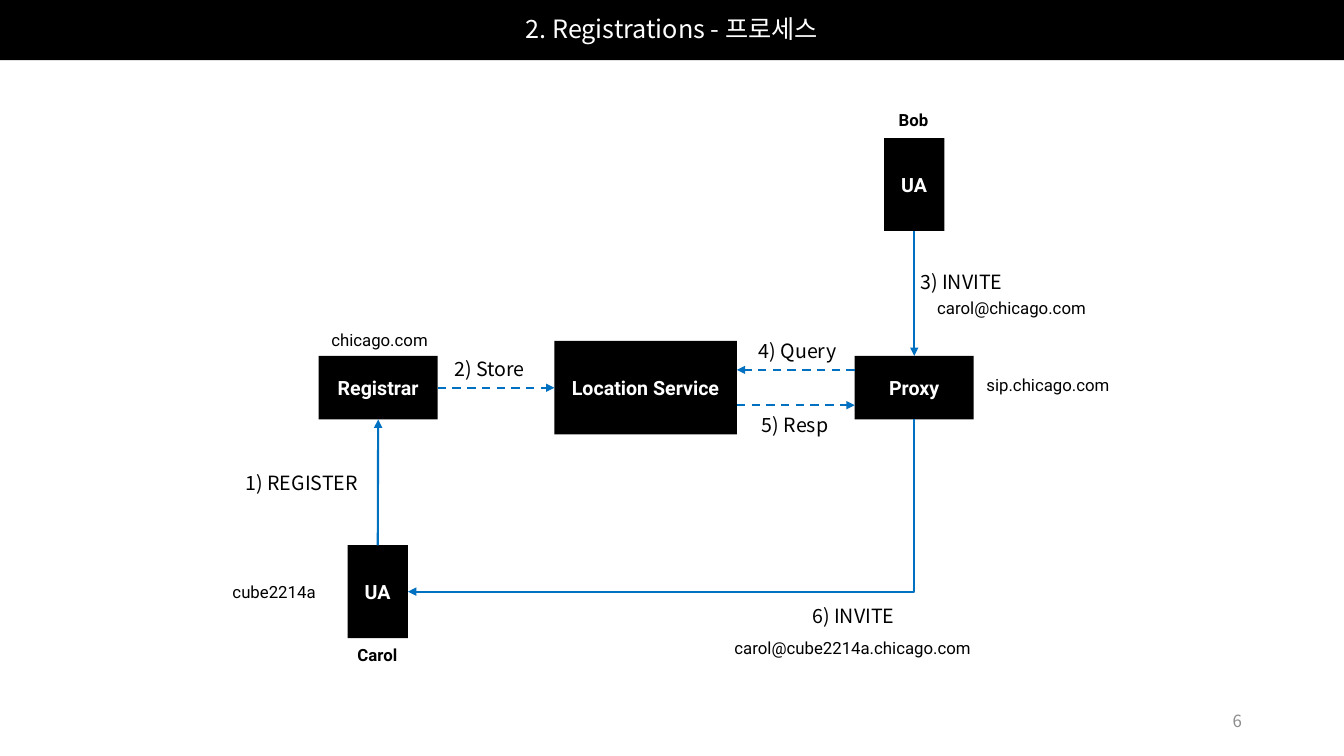
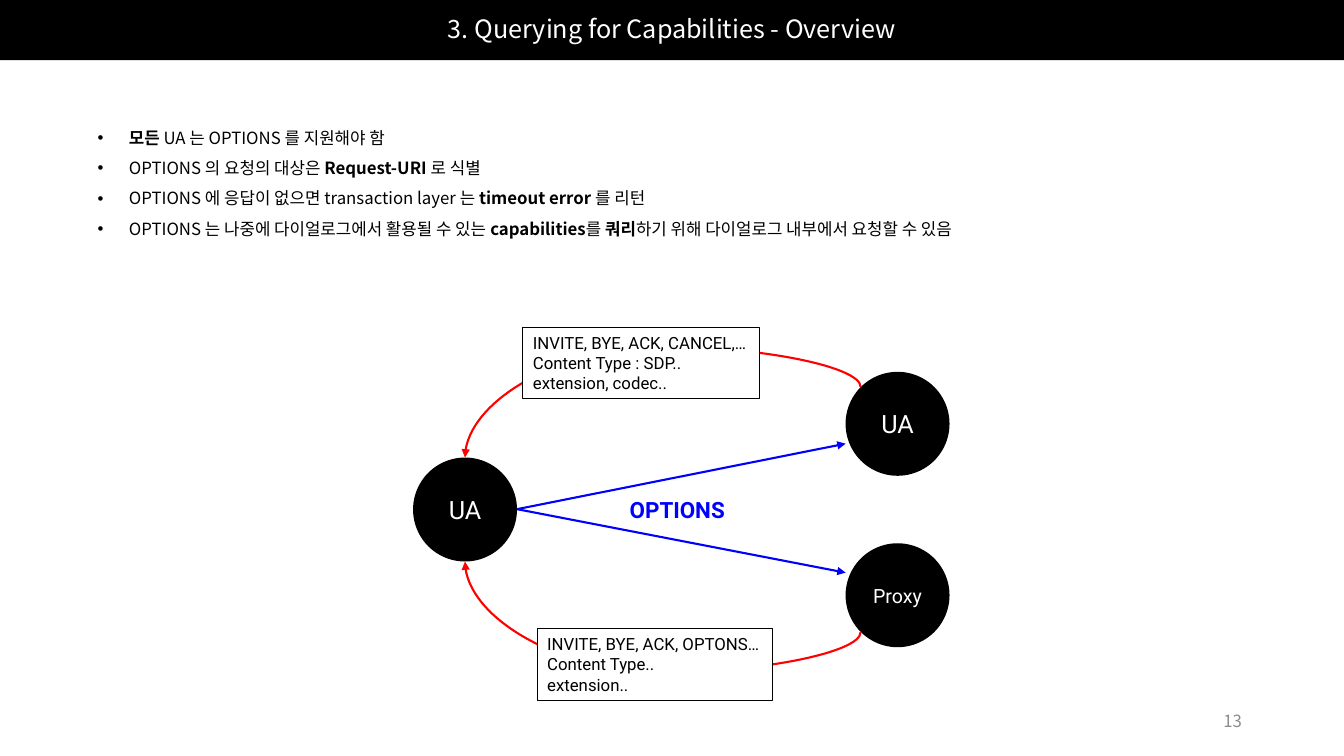
"""Build two slides on SIP registration and capability queries."""
from lxml import etree
from pptx import Presentation
from pptx.dml.color import RGBColor
from pptx.enum.dml import MSO_LINE
from pptx.enum.shapes import MSO_CONNECTOR, MSO_SHAPE
from pptx.enum.text import MSO_ANCHOR, MSO_AUTO_SIZE, PP_ALIGN
from pptx.oxml.ns import qn
from pptx.util import Cm, Pt

RECT, OVAL = MSO_SHAPE.RECTANGLE, MSO_SHAPE.OVAL
LINE, BENT, CURVE = MSO_CONNECTOR.STRAIGHT, MSO_CONNECTOR.ELBOW, MSO_CONNECTOR.CURVE
LEFT, MID, RIGHT = PP_ALIGN.LEFT, PP_ALIGN.CENTER, PP_ALIGN.RIGHT
TOP, CENTER = MSO_ANCHOR.TOP, MSO_ANCHOR.MIDDLE
DASH, GROW = MSO_LINE.DASH, MSO_AUTO_SIZE.SHAPE_TO_FIT_TEXT
BLACK, WHITE, GRAY = "000000", "FFFFFF", "8C8C8C"
SKY, BLUE, RED = "0070C0", "0000FF", "FF0000"
NOTO, ROBOTO = "Noto Sans CJK KR", "Roboto"


def put(slide, box, text, kind=None, fill=None, edge=None, size=12, font=ROBOTO,
        color=BLACK, bold=False, align=LEFT, anchor=TOP, wrap=False, lead=None,
        bullet=False):
    """Add a shape or text box; asterisks in the text enclose bold words."""
    area = [Cm(v) for v in box]
    if kind is None:
        shape = slide.shapes.add_textbox(*area)
    else:
        shape = slide.shapes.add_shape(kind, *area)
        shape.shadow.inherit = False
        shape.fill.solid()
        shape.fill.fore_color.rgb = RGBColor.from_string(fill)
        if edge:
            shape.line.color.rgb = RGBColor.from_string(edge)
            shape.line.width = Pt(0.75)
        else:
            shape.line.fill.background()
    frame = shape.text_frame
    frame.word_wrap = wrap
    frame.vertical_anchor = anchor
    if anchor == TOP:
        frame.auto_size = GROW
    for row, words in enumerate(text.split("\n")):
        para = frame.add_paragraph() if row else frame.paragraphs[0]
        para.alignment = align
        if lead:
            para.line_spacing = lead
        if bullet:
            props = para._p.get_or_add_pPr()
            props.set("marL", str(Cm(0.79)))
            props.set("indent", str(-Cm(0.79)))
            etree.SubElement(props, qn("a:buFont"), typeface="Arial")
            etree.SubElement(props, qn("a:buChar"), char="•")
        for turn, part in enumerate(words.split("*")):
            if part:
                run = para.add_run()
                run.text = part
                run.font.size = Pt(size)
                run.font.bold = bold or turn % 2 == 1
                run.font.color.rgb = RGBColor.from_string(color)
                run.font.name = font
                etree.SubElement(run._r.rPr, qn("a:ea"), typeface=font)
    return shape


def join(slide, start, end, color, kind=LINE, dash=False, turn=0, flips=(), preset=None,
         bend=None):
    """Add an arrow; a quarter turn swaps the width and height of its frame."""
    (x1, y1), (x2, y2) = start, end
    if turn:
        midx, midy = (x1 + x2) / 2, (y1 + y2) / 2
        wide, high = abs(y2 - y1) / 2, abs(x2 - x1) / 2
        x1, y1, x2, y2 = midx - wide, midy - high, midx + wide, midy + high
    arrow = slide.shapes.add_connector(kind, Cm(x1), Cm(y1), Cm(x2), Cm(y2))
    arrow.line.color.rgb = RGBColor.from_string(color)
    arrow.line.width = Pt(1.5)
    if dash:
        arrow.line.dash_style = DASH
    props = arrow._element.spPr
    etree.SubElement(props.find(qn("a:ln")), qn("a:tailEnd"), type="triangle")
    etree.SubElement(props, qn("a:effectLst"))
    frame, geom = props.find(qn("a:xfrm")), props.find(qn("a:prstGeom"))
    if turn:
        frame.set("rot", str(turn * 60000))
    for flip in flips:
        frame.set(flip, "1")
    if preset:
        geom.set("prst", preset)
    if bend:
        etree.SubElement(geom.find(qn("a:avLst")), qn("a:gd"), name="adj1",
                         fmla=f"val {bend}")
    return arrow


deck = Presentation()
deck.slide_width, deck.slide_height = Cm(33.87), Cm(19.05)
pages = []
for title, number in (("2. Registrations - 프로세스", "6"),
                      ("3. Querying for Capabilities - Overview", "13")):
    page = deck.slides.add_slide(deck.slide_layouts[6])
    put(page, (0, 0, 33.87, 1.52), title, kind=RECT, fill=BLACK, size=18, font=NOTO,
        color=WHITE, align=MID, anchor=CENTER, wrap=True, lead=0.9)
    put(page, (23.93, 17.65, 7.62, 1.02), number, font=NOTO, color=GRAY, align=RIGHT,
        anchor=CENTER, wrap=True)
    pages.append(page)
flow, query = pages

nodes = {}
for name, text, box in (
        ("registrar", "Registrar", (8.03, 8.97, 3, 1.6)),
        ("proxy", "Proxy", (21.54, 8.97, 3, 1.6)),
        ("carol", "UA", (8.76, 13.74, 1.52, 2.34)),
        ("bob", "UA", (22.28, 3.48, 1.52, 2.34)),
        ("service", "Location Service", (13.97, 8.59, 4.6, 2.36))):
    nodes[name] = put(flow, box, text, kind=RECT, fill=BLACK, size=14, color=WHITE,
                      bold=True, align=MID, anchor=CENTER)

for text, x, y, wide in (
        ("1) REGISTER", 5.94, 11.73, 3.43), ("2) Store", 11.2, 8.86, 2.36),
        ("4) Query", 18.87, 8.41, 2.54), ("5) Resp", 18.95, 10.29, 2.24),
        ("6) INVITE", 20.22, 15.09, 2.67), ("3) INVITE", 22.94, 6.68, 2.67)):
    put(flow, (x, y, wide, 0.86), text, size=14, font=NOTO)

for head, from_side, tail, to_side, dash in (
        ("registrar", 3, "service", 1, True), ("carol", 0, "registrar", 2, False),
        ("bob", 2, "proxy", 0, False)):
    arrow = join(flow, (0, 0), (1, 1), SKY, dash=dash)
    arrow.begin_connect(nodes[head], from_side)
    arrow.end_connect(nodes[tail], to_side)
join(flow, (23.04, 10.57), (10.28, 14.91), SKY, kind=BENT, turn=90,
     preset="bentConnector2")
join(flow, (21.54, 9.32), (18.57, 9.32), SKY, dash=True)
join(flow, (18.57, 10.21), (21.54, 10.21), SKY, dash=True)

for text, x, y, wide, bold in (
        ("cube2214a", 5.61, 14.53, 2.64, False), ("Carol", 8.76, 16.13, 1.52, True),
        ("chicago.com", 8.1, 8.18, 2.97, False),
        ("sip.chicago.com", 24.61, 9.32, 3.63, False),
        ("carol@chicago.com", 23.37, 7.37, 4.29, False),
        ("carol@cube2214a.chicago.com", 18.26, 15.95, 6.53, False),
        ("Bob", 22.4, 2.64, 1.27, True)):
    put(flow, (x, y, wide, 0.76), text, bold=bold)

for text, x, y, size in (("UA", 10.41, 11.53, 18), ("UA", 21.31, 9.37, 18),
                         ("Proxy", 21.31, 13.69, 14)):
    put(query, (x, y, 2.62, 2.62), text, kind=OVAL, fill=BLACK, size=size, color=WHITE,
        align=MID, anchor=CENTER)
for y in (11.18, 14.43):
    join(query, (13.03, 12.83), (21.31, y), BLUE)
put(query, (15.62, 12.37, 2.95, 0.94), "OPTIONS", size=16, color=BLUE, bold=True)

for y1, y2, turn, flips, box, text in (
        (9.75, 11.53, 270, ("flipH", "flipV"), (13.18, 8.25, 5.97, 1.8),
         "INVITE, BYE, ACK, CANCEL,…\nContent Type : SDP..\nextension, codec.."),
        (15.93, 14.15, 90, ("flipH",), (13.54, 15.85, 5.94, 1.8),
         "INVITE, BYE, ACK, OPTONS…\nContent Type..\nextension..")):
    join(query, (21.69, y1), (11.72, y2), RED, kind=CURVE, turn=turn, flips=flips,
         bend=-56900)
    put(query, box, text, kind=RECT, fill=WHITE, edge=BLACK)

put(query, (2.21, 2.84, 28.27, 3.25),
    "*모든 *UA 는 OPTIONS 를 지원해야 함\n"
    "OPTIONS 의 요청의 대상은 *Request-URI *로 식별\n"
    "OPTIONS 에 응답이 없으면 transaction layer 는 *timeout error *를 리턴\n"
    "OPTIONS 는 나중에 다이얼로그에서 활용될 수 있는 *capabilities*를 *쿼리*"
    "하기 위해 다이얼로그 내부에서 요청할 수 있음",
    font=NOTO, wrap=True, lead=1.5, bullet=True)

deck.save("out.pptx")
